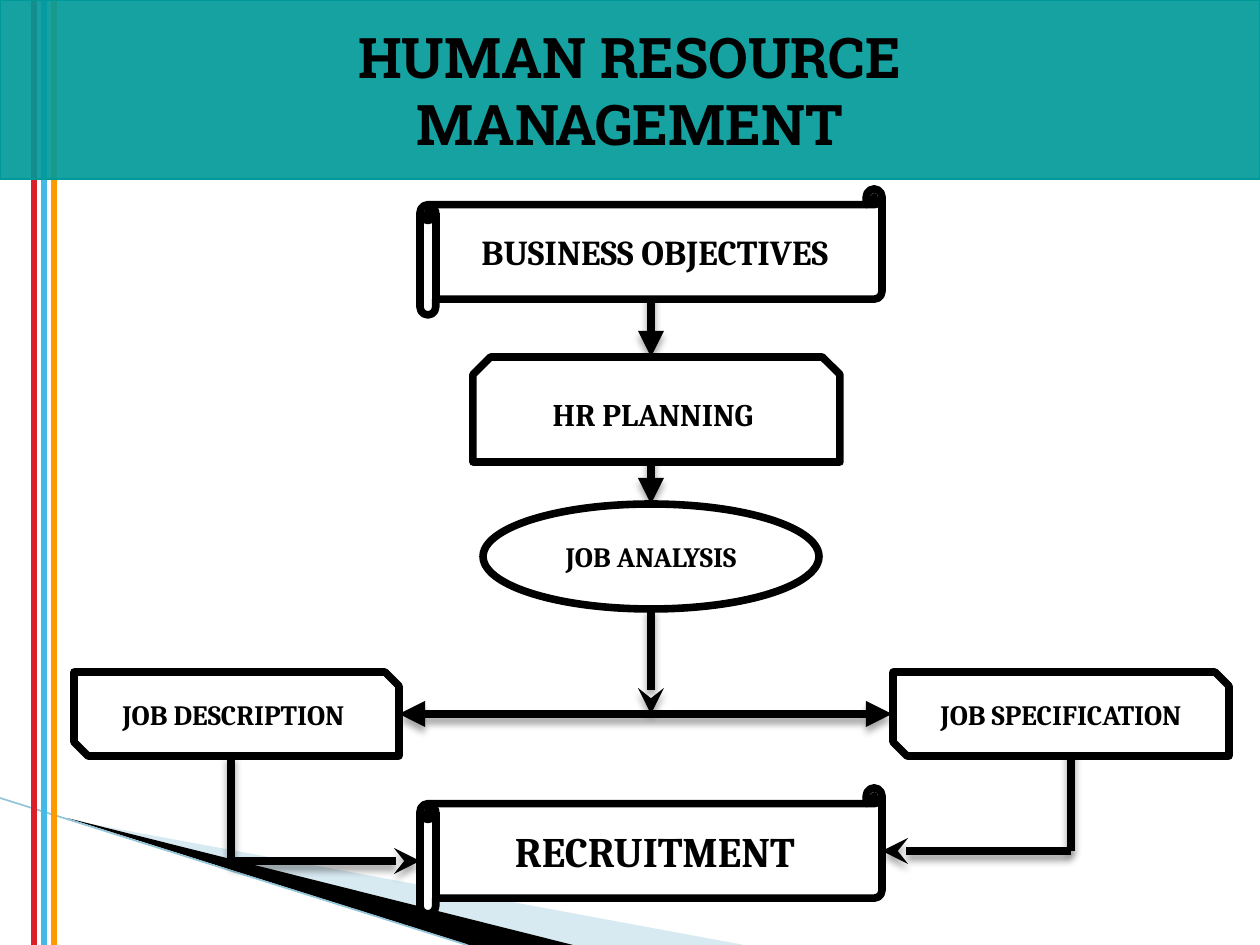
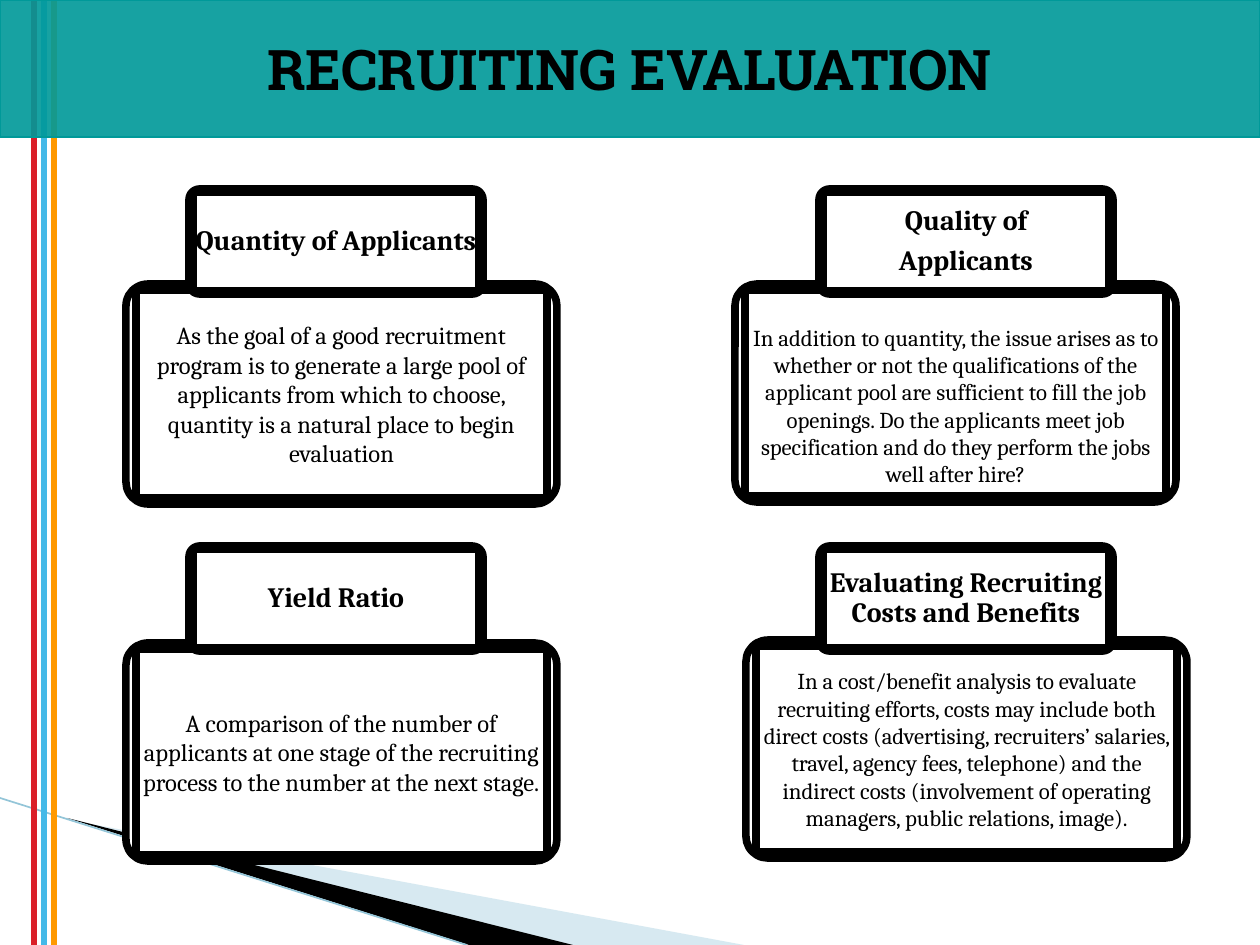
"""Build two slides on recruitment: a process flow and four evaluation cards."""
from lxml.etree import SubElement
from pptx import Presentation
from pptx.dml.color import RGBColor
from pptx.enum.shapes import MSO_CONNECTOR as CONNECTOR, MSO_SHAPE as SHAPE
from pptx.enum.text import MSO_ANCHOR as ANCHOR, PP_ALIGN as ALIGN
from pptx.oxml.ns import qn
from pptx.util import Emu, Inches, Pt

SCALE = Inches(1) / 126
WIDTH, HEIGHT = 1260, 945
BLACK = RGBColor(0, 0, 0)
WHITE = RGBColor(255, 255, 255)
TEAL = RGBColor(0x00, 0x99, 0x99)
RED = RGBColor(0xDA, 0x1F, 0x28)
BLUE = RGBColor(0x44, 0xB9, 0xE8)
ORANGE = RGBColor(0xFF, 0x99, 0x00)
PALE_BLUE = RGBColor(0x9C, 0xCA, 0xDC)
EDGE_BLUE = RGBColor(0x93, 0xC5, 0xD8)
TITLE_FONT, BODY_FONT = "Roboto Slab", "Cambria"
BORDER, ARROW = 4.33, 5


def px(*lengths):
    return [Emu(round(length * SCALE)) for length in lengths]


class Deck:
    """Holds the shared style and draws on the current slide."""

    def __init__(self):
        self.presentation = Presentation()
        self.presentation.slide_width, self.presentation.slide_height = px(WIDTH, HEIGHT)
        self.slide = None

    def new_slide(self, title, band_height):
        self.slide = self.presentation.slides.add_slide(self.presentation.slide_layouts[6])
        self.wedge([(69, 820), (744, 945), (570, 945)], PALE_BLUE, 40)
        self.wedge([(67, 818), (573, 945), (469, 945)], BLACK)
        self.line((0, 798), (467, 945), EDGE_BLUE, 0.95)
        for x, color in ((34, RED), (54, ORANGE), (44, BLUE)):
            self.line((x, 0), (x, HEIGHT), color, 3)
        band = self.box(SHAPE.RECTANGLE, (0, 0, WIDTH, band_height), fill=TEAL, line=TEAL, weight=0.75)
        self.opacity(band, 91)
        self.label(band, title, 32, True, TITLE_FONT)

    def opacity(self, shape, percent):
        color = shape.element.spPr.find(qn("a:solidFill")).find(qn("a:srgbClr"))
        SubElement(color, qn("a:alpha"), val=str(percent * 1000))

    def wedge(self, points, color, percent=100):
        builder = self.slide.shapes.build_freeform(*points[0], scale=SCALE)
        builder.add_line_segments(points[1:], close=True)
        shape = builder.convert_to_shape()
        shape.shadow.inherit = False
        shape.fill.solid()
        shape.fill.fore_color.rgb = color
        shape.line.fill.background()
        self.opacity(shape, percent)

    def line(self, start, end, color, weight):
        connector = self.slide.shapes.add_connector(CONNECTOR.STRAIGHT, *px(*start, *end))
        connector.line.color.rgb = color
        connector.line.width = Pt(weight)
        SubElement(connector.element.spPr, qn("a:effectLst"))
        return connector

    def arrow(self, start, end, head=None, tail=None):
        connector = self.line(start, end, BLACK, ARROW)
        properties = connector.element.spPr
        for tag, kind in (("a:headEnd", head), ("a:tailEnd", tail)):
            if kind:
                SubElement(properties.find(qn("a:ln")), qn(tag), type=kind)
        shadow = SubElement(properties.find(qn("a:effectLst")), qn("a:outerShdw"),
                            blurRad=str(Pt(4)), dist=str(Pt(3)), dir="5400000", rotWithShape="0")
        color = SubElement(shadow, qn("a:srgbClr"), val=str(BLACK))
        SubElement(color, qn("a:alpha"), val="35000")

    def box(self, kind, frame, adjustments=(), fill=WHITE, line=BLACK, weight=BORDER, group=None):
        shapes = group.shapes if group else self.slide.shapes
        shape = shapes.add_shape(kind, *px(*frame))
        for index, value in enumerate(adjustments):
            shape.adjustments[index] = value
        shape.shadow.inherit = False
        shape.fill.solid()
        shape.fill.fore_color.rgb = fill
        shape.line.color.rgb = line
        shape.line.width = Pt(weight)
        return shape

    def label(self, shape, text, size, bold=False, font=BODY_FONT, insets=(13, 6, 13, 6),
              spacing=None, gap=None):
        text_frame = shape.text_frame
        text_frame.text = text
        text_frame.word_wrap = True
        text_frame.vertical_anchor = ANCHOR.MIDDLE
        (text_frame.margin_left, text_frame.margin_top,
         text_frame.margin_right, text_frame.margin_bottom) = px(*insets)
        for index, paragraph in enumerate(text_frame.paragraphs):
            paragraph.alignment = ALIGN.CENTER
            paragraph.line_spacing = spacing
            if gap and index:
                paragraph.space_before = Pt(gap)
            for run in paragraph.runs:
                run.font.name = font
                run.font.size = Pt(size)
                run.font.bold = bold
                run.font.color.rgb = BLACK

    def panel(self, frame, inset_x, inset_y, text, size, **style):
        left, top, width, height = frame
        group = self.slide.shapes.add_group_shape()
        self.box(SHAPE.ROUNDED_RECTANGLE, frame, [0.1], group=group)
        inner = (left + inset_x, top + inset_y, width - 2 * inset_x, height - 2 * inset_y)
        self.label(self.box(SHAPE.RECTANGLE, inner, group=group), text, size, **style)

    def card(self, heading_at, heading, body_frame, body, size, top_inset=5):
        self.panel(body_frame, 10, 6, body, size, insets=(5, top_inset, 5, 5))
        self.panel((*heading_at, 294, 105), 4, 3, heading, 16, bold=True,
                   insets=(2, 2, 2, 2), spacing=0.9, gap=5.6)


deck = Deck()
deck.new_slide("HUMAN RESOURCE\nMANAGEMENT", 179)
CENTER, LEFT, RIGHT = 651, 231, 1071
ARROWS = [
    ((RIGHT, 746), (RIGHT, 851), None, None),
    ((CENTER, 609), (CENTER, 714), None, "stealth"),
    ((CENTER, 294), (CENTER, 357), None, "triangle"),
    ((CENTER, 451), (CENTER, 504), None, "triangle"),
    ((399, 714), (892, 714), "triangle", "triangle"),
    ((LEFT, 861), (420, 861), None, "stealth"),
    ((RIGHT, 851), (882, 851), None, "stealth"),
    ((LEFT, 756), (LEFT, 861), None, None),
]
STEPS = [
    (SHAPE.HORIZONTAL_SCROLL, (420, 189, 462, 126), [0.125], "BUSINESS OBJECTIVES", 20),
    (SHAPE.HORIZONTAL_SCROLL, (420, 788, 462, 126), [0.125], "RECRUITMENT", 24),
    (SHAPE.SNIP_2_SAME_RECTANGLE, (473, 357, 367, 105), [0.167, 0], "HR PLANNING ", 18),
    (SHAPE.SNIP_2_DIAG_RECTANGLE, (74, 672, 325, 84), [0, 0.167], "JOB DESCRIPTION ", 16),
    (SHAPE.SNIP_2_DIAG_RECTANGLE, (893, 672, 336, 84), [0, 0.167], "JOB SPECIFICATION", 16),
    (SHAPE.OVAL, (483, 504, 336, 105), [], "JOB ANALYSIS", 16),
]
for start, end, head, tail in ARROWS:
    deck.arrow(start, end, head, tail)
for kind, frame, adjustments, caption, size in STEPS:
    deck.label(deck.box(kind, frame, adjustments), caption, size, True)

deck.new_slide("RECRUITING EVALUATION", 137)
deck.card((189, 189), "Quantity of Applicants", (126, 284, 431, 220),
          "As the goal of a good recruitment program is to generate a large pool of applicants "
          "from which to choose, quantity is a natural place to begin evaluation", 14)
deck.card((819, 189), "Quality of\nApplicants", (735, 284, 441, 218),
          "In addition to quantity, the issue arises as to whether or not the qualifications of "
          "the applicant pool are sufficient to fill the job openings. Do the applicants meet job "
          "specification and do they perform the jobs well after hire?", 13, top_inset=30)
deck.card((189, 546), "Yield Ratio", (126, 643, 431, 218),
          "A comparison of the number of applicants at one stage of the recruiting process to "
          "the number at the next stage.", 14)
deck.card((819, 546), "Evaluating Recruiting Costs and Benefits", (746, 640, 441, 218),
          "In a cost/benefit analysis to evaluate recruiting efforts, costs may include both "
          "direct costs (advertising, recruiters’ salaries, travel, agency fees, telephone) and "
          "the indirect costs (involvement of operating managers, public relations, image).", 13)

deck.presentation.save("out.pptx")
